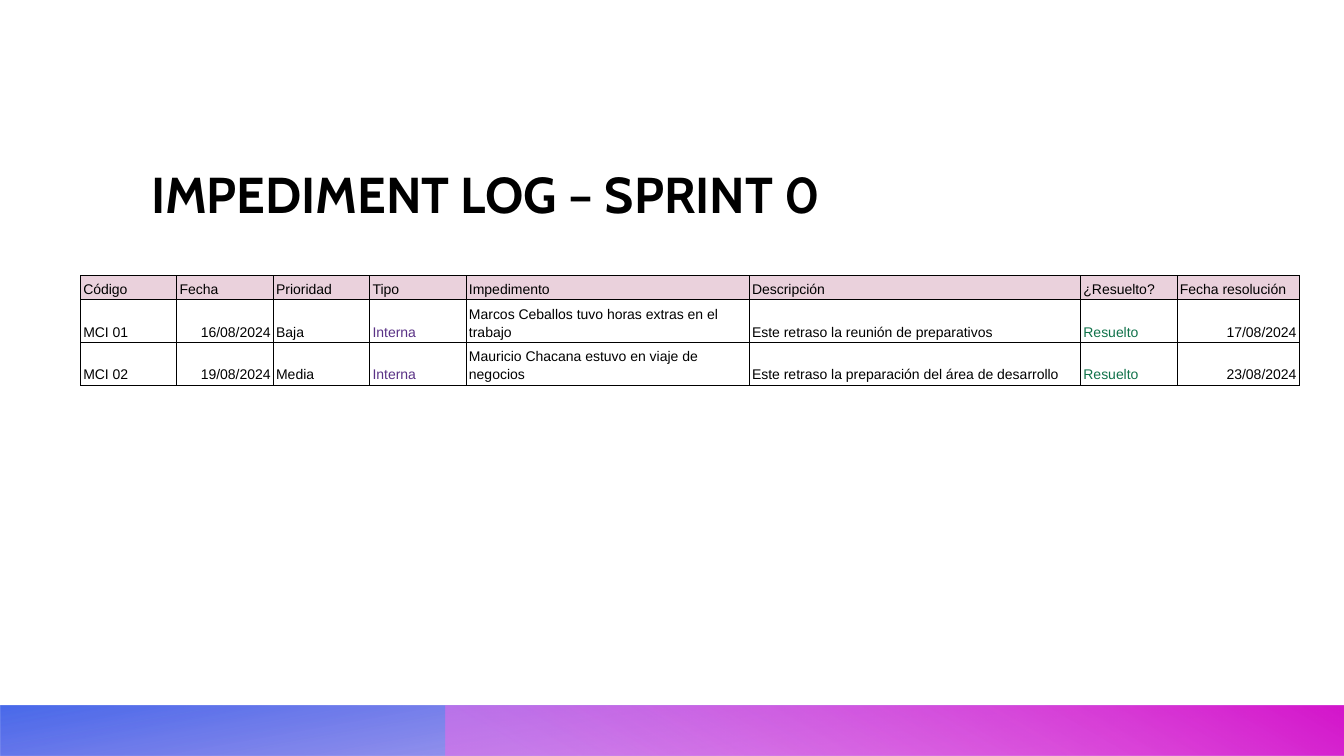
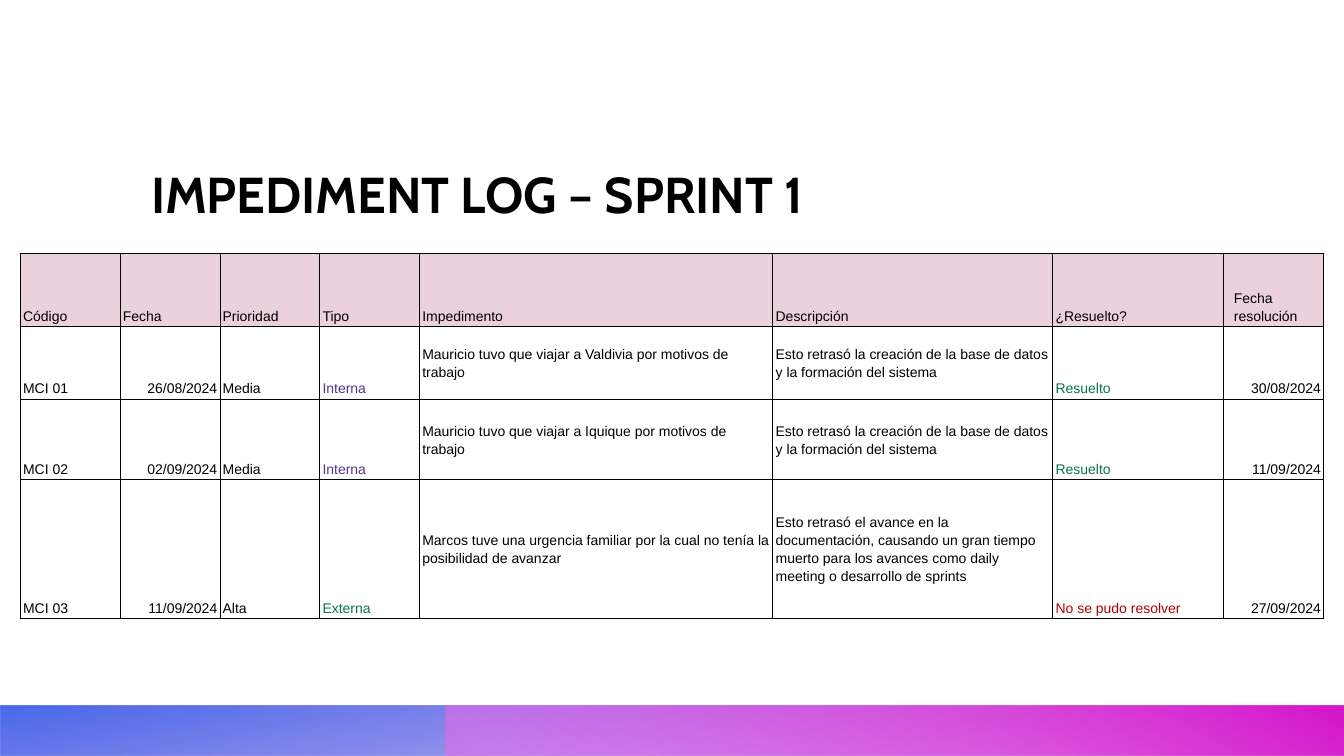
from pptx import Presentation
from pptx.dml.color import RGBColor
from pptx.enum import shapes, text
from pptx.oxml import parse_xml
from pptx.util import Pt

NAMESPACE = 'xmlns:a="http://schemas.openxmlformats.org/drawingml/2006/main"'
BLACK, HEADER_FILL = "000000", "EAD1DC"
PURPLE, GREEN, RED = "5A3286", "11734B", "B10202"
TEXT_COLORS = {"Interna": PURPLE, "Externa": GREEN,
               "Resuelto": GREEN, "No se pudo resolver": RED}
DATE_COLUMNS = (1, 7)
PROSE_COLUMNS = (4, 5)

# Footer bands: gradient stops are (position %, colour, opacity %)
BANDS = [
    {"left": 0, "width": 960, "rotation": 180, "angle": 100,
     "stops": [(0, "4922D7", 28), (14, "4922D7", 28), (100, "2950E7", 85)]},
    {"left": 318, "width": 642, "rotation": 0, "angle": 240,
     "stops": [(0, "EF68E9", 55), (9, "EF68E9", 55), (99, "D517CC", 100),
               (100, "D517CC", 100)]},
]

HEADERS = ["Código", "Fecha", "Prioridad", "Tipo", "Impedimento",
           "Descripción", "¿Resuelto?", "Fecha resolución"]

DATABASE_DELAY = ("Esto retrasó la creación de la base de datos "
                  "y la formación del sistema")

SPRINTS = [
    {"title": "IMPEDIMENT LOG – SPRINT 0",
     "left": 57.5, "top": 197,
     "columns": [68.9] * 4 + [202.2, 236.7, 68.9, 87.2],
     "rows": [15.8, 29.1, 29.1],
     "prose_anchor": text.MSO_ANCHOR.BOTTOM,
     "last_header_margin": 2,
     "entries": [
         ["MCI 01", "16/08/2024", "Baja", "Interna",
          "Marcos Ceballos tuvo horas extras en el trabajo",
          "Este retraso la reunión de preparativos",
          "Resuelto", "17/08/2024"],
         ["MCI 02", "19/08/2024", "Media", "Interna",
          "Mauricio Chacana estuvo en viaje de negocios",
          "Este retraso la preparación del área de desarrollo",
          "Resuelto", "23/08/2024"],
     ]},
    {"title": "IMPEDIMENT LOG – SPRINT 1",
     "left": 14.5, "top": 181,
     "columns": [71.3] * 4 + [252.4, 200, 122.1, 71.3],
     "rows": [52, 52, 57.3, 99.3],
     "prose_anchor": text.MSO_ANCHOR.MIDDLE,
     "last_header_margin": 7.2,
     "entries": [
         ["MCI 01", "26/08/2024", "Media", "Interna",
          "Mauricio tuvo que viajar a Valdivia por motivos de trabajo",
          DATABASE_DELAY, "Resuelto", "30/08/2024"],
         ["MCI 02", "02/09/2024", "Media", "Interna",
          "Mauricio tuvo que viajar a Iquique por motivos de trabajo",
          DATABASE_DELAY, "Resuelto", "11/09/2024"],
         ["MCI 03", "11/09/2024", "Alta", "Externa",
          "Marcos tuve una urgencia familiar por la cual no tenía la "
          "posibilidad de avanzar",
          "Esto retrasó el avance en la documentación, causando un gran "
          "tiempo muerto para los avances como daily meeting o desarrollo "
          "de sprints",
          "No se pudo resolver", "27/09/2024"],
     ]},
]


def rgb(value):
    return RGBColor.from_string(value)


def write(paragraph, content, font, size, color, bold=False):
    run = paragraph.add_run()
    run.text = content
    run.font.color.rgb = rgb(color)
    for name, value in {"name": font, "size": Pt(size), "bold": bold}.items():
        setattr(run.font, name, value)


presentation = Presentation()
presentation.slide_width, presentation.slide_height = Pt(960), Pt(540)

for sprint in SPRINTS:
    slide = presentation.slides.add_slide(presentation.slide_layouts[6])

    # Footer bands
    for band in BANDS:
        shape = slide.shapes.add_shape(
            shapes.MSO_SHAPE.RECTANGLE,
            Pt(band["left"]), Pt(504), Pt(band["width"]), Pt(36))
        shape.shadow.inherit = False
        shape.line.fill.background()
        shape.rotation = band["rotation"]
        properties = shape._element.spPr
        properties.xfrm.set("flipH", "1")
        stops = "".join(
            f'<a:gs pos="{position * 1000}"><a:srgbClr val="{color}">'
            f'<a:alpha val="{opacity * 1000}"/></a:srgbClr></a:gs>'
            for position, color, opacity in band["stops"])
        properties.prstGeom.addnext(parse_xml(
            f'<a:gradFill {NAMESPACE} rotWithShape="1"><a:gsLst>{stops}</a:gsLst>'
            f'<a:lin ang="{band["angle"] * 60000}" scaled="0"/></a:gradFill>'))

    # Title
    title = slide.shapes.add_textbox(Pt(108), Pt(62.5), Pt(806), Pt(97.5))
    frame_format = {"word_wrap": True, "vertical_anchor": text.MSO_ANCHOR.BOTTOM,
                    "margin_left": 0, "margin_right": 0,
                    "margin_top": 0, "margin_bottom": 0}
    for name, value in frame_format.items():
        setattr(title.text_frame, name, value)
    paragraph = title.text_frame.paragraphs[0]
    paragraph.line_spacing = 1.0
    write(paragraph, sprint["title"], "Cabin", 36, BLACK, bold=True)

    # Impediment table
    table = slide.shapes.add_table(
        len(sprint["rows"]), len(HEADERS), Pt(sprint["left"]), Pt(sprint["top"]),
        Pt(sum(sprint["columns"])), Pt(sum(sprint["rows"]))).table
    table.first_row = table.horz_banding = False
    for column, width in zip(table.columns, sprint["columns"]):
        column.width = Pt(width)
    for row, height in zip(table.rows, sprint["rows"]):
        row.height = Pt(height)

    for row_index, values in enumerate([HEADERS] + sprint["entries"]):
        is_header = row_index == 0
        for column_index, value in enumerate(values):
            cell = table.cell(row_index, column_index)
            is_prose = not is_header and column_index in PROSE_COLUMNS
            is_last_header = is_header and column_index == len(HEADERS) - 1
            side = Pt(sprint["last_header_margin"] if is_last_header else 2)
            cell_format = {
                "margin_left": side, "margin_right": side,
                "margin_top": Pt(1.5), "margin_bottom": Pt(1.5),
                "vertical_anchor": (sprint["prose_anchor"] if is_prose
                                    else text.MSO_ANCHOR.BOTTOM)}
            for name, setting in cell_format.items():
                setattr(cell, name, setting)

            if is_header:
                cell.fill.solid()
                cell.fill.fore_color.rgb = rgb(HEADER_FILL)
            else:
                cell.fill.background()

            # Borders go before the fill in the cell properties
            cell_properties = cell._tc.get_or_add_tcPr()
            for position, edge in enumerate("LRTB"):
                cell_properties.insert(position, parse_xml(
                    f'<a:ln{edge} {NAMESPACE} w="{Pt(0.68)}"><a:solidFill>'
                    f'<a:srgbClr val="{BLACK}"/></a:solidFill></a:ln{edge}>'))

            paragraph = cell.text_frame.paragraphs[0]
            paragraph.line_spacing = 1.15
            if not is_header and column_index in DATE_COLUMNS:
                paragraph.alignment = text.PP_ALIGN.RIGHT
            write(paragraph, value, "Arial", 10, TEXT_COLORS.get(value, BLACK))

presentation.save("out.pptx")
